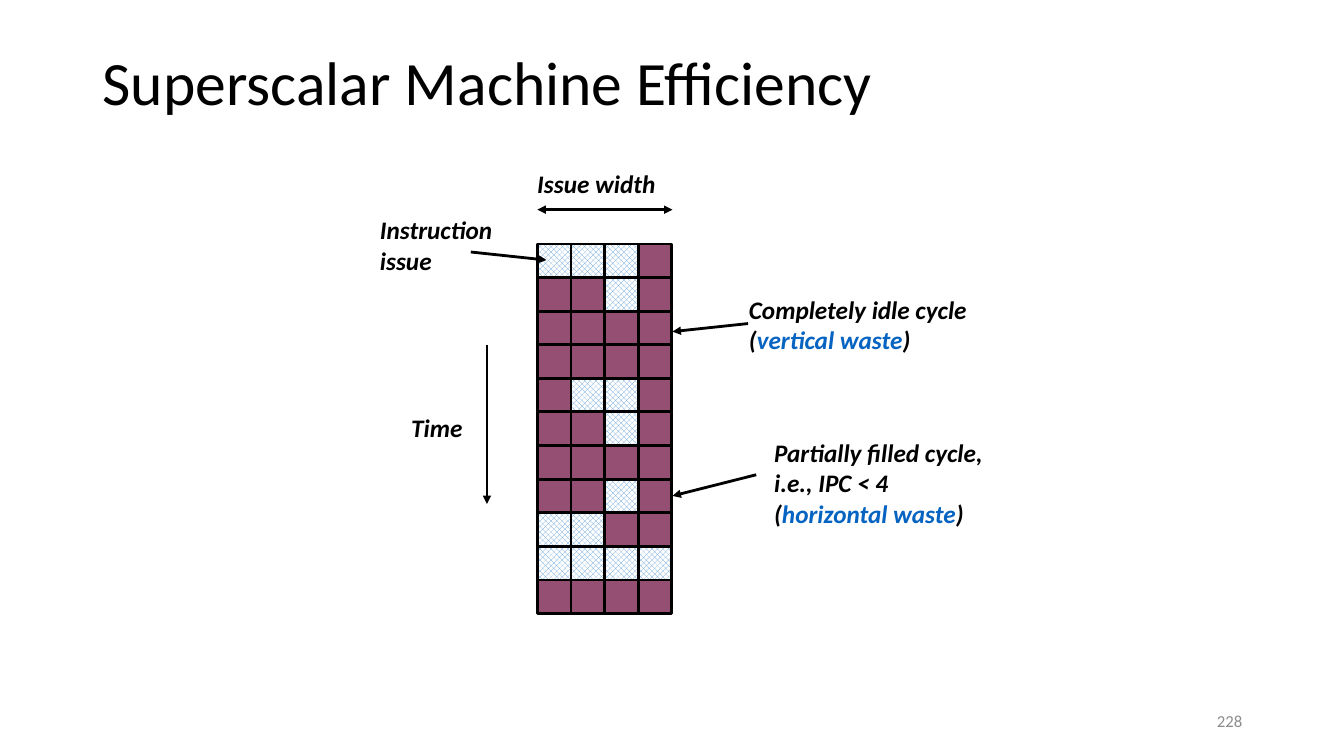
import lxml.etree
import pptx
import pptx.util
import pptx.dml.color
import pptx.enum.dml
import pptx.enum.shapes
import pptx.enum.text
import pptx.oxml.ns

Inches = pptx.util.Inches
Pt = pptx.util.Pt
RGBColor = pptx.dml.color.RGBColor
Align = pptx.enum.text.PP_ALIGN
Anchor = pptx.enum.text.MSO_ANCHOR
qn = pptx.oxml.ns.qn

BLACK = RGBColor(0x00, 0x00, 0x00)
WHITE = RGBColor(0xFF, 0xFF, 0xFF)
GRAY = RGBColor(0x8C, 0x8C, 0x8C)
BLUE = RGBColor(0x05, 0x63, 0xC1)
SKY = RGBColor(0x5B, 0x9B, 0xD5)
PLUM = RGBColor(0x95, 0x4F, 0x72)

CELL = 1 / 3
LEFT, TOP = 5.33, 2.42
CYCLES = ["XXX.", "..X.", "....", "....", ".XX.", "..X.",
          "....", "..X.", "XX..", "XXXX", "...."]


def write(slide, box, *lines, size=18, color=BLACK, strong=True, wrap=True,
          align=Align.LEFT, anchor=Anchor.TOP, space=1.0):
    """Add a text box; each line is a list of runs, a run in a tuple has its own colour."""
    frame = slide.shapes.add_textbox(*map(Inches, box)).text_frame
    frame.word_wrap = wrap
    frame.vertical_anchor = anchor
    for i, line in enumerate(lines):
        para = frame.paragraphs[0] if i == 0 else frame.add_paragraph()
        para.alignment = align
        para.line_spacing = space
        for part in line:
            text, tint = part if isinstance(part, tuple) else (part, color)
            run = para.add_run()
            run.text = text
            font = run.font
            font.name, font.size = "Calibri", Pt(size)
            font.bold = font.italic = strong
            font.color.rgb = tint


def arrow(slide, start, end, both=False):
    """Draw a black arrow that points at its end, or at both ends."""
    link = slide.shapes.add_connector(
        pptx.enum.shapes.MSO_CONNECTOR.STRAIGHT, *map(Inches, start + end))
    link.line.color.rgb = BLACK
    link.line.width = Pt(2)
    props = link._element.spPr
    for tag in ["a:headEnd", "a:tailEnd"] if both else ["a:tailEnd"]:
        lxml.etree.SubElement(props.find(qn("a:ln")), qn(tag), type="triangle")
    lxml.etree.SubElement(props, qn("a:effectLst"))


def slot(slide, row, col, used):
    """Draw one issue slot, patterned when used and solid when wasted."""
    shape = slide.shapes.add_shape(
        pptx.enum.shapes.MSO_SHAPE.RECTANGLE, Inches(LEFT + col * CELL),
        Inches(TOP + row * CELL), Inches(CELL), Inches(CELL))
    shape.shadow.inherit = False
    shape.line.color.rgb = BLACK
    shape.line.width = Pt(2)
    if used:
        shape.fill.patterned()
        shape.fill.pattern = pptx.enum.dml.MSO_PATTERN.SOLID_DIAMOND
        shape.fill.fore_color.rgb = SKY
        shape.fill.back_color.rgb = WHITE
    else:
        shape.fill.solid()
        shape.fill.fore_color.rgb = PLUM


def main():
    """Build the slide on superscalar efficiency."""
    deck = pptx.Presentation()
    deck.slide_width, deck.slide_height = Inches(13.33), Inches(7.5)
    slide = deck.slides.add_slide(deck.slide_layouts[6])

    write(slide, (0.92, 0.4, 11.5, 0.89), ["Superscalar Machine Efficiency"],
          size=44, strong=False, anchor=Anchor.MIDDLE, space=0.9)
    write(slide, (9.42, 6.95, 3, 0.4), ["228"], size=12, color=GRAY,
          strong=False, align=Align.RIGHT, anchor=Anchor.MIDDLE)

    for row, cycle in enumerate(CYCLES):
        for col, mark in enumerate(cycle):
            slot(slide, row, col, mark == "X")

    write(slide, (5.23, 1.62, 1.39, 0.4), ["Issue width"], wrap=False)
    arrow(slide, (LEFT, 2.08), (6.67, 2.08), both=True)
    write(slide, (3.98, 4.04, 0.72, 0.4), ["Time"], wrap=False)
    arrow(slide, (4.83, 3.42), (4.83, 5))
    write(slide, (3.67, 2.08, 1.52, 0.7), ["Instruction issue"])
    arrow(slide, (4.67, 2.5), (5.42, 2.58))
    write(slide, (7.33, 2.87, 3, 0.7),
          ["Completely idle cycle (", ("vertical waste", BLUE), ")"])
    arrow(slide, (7.42, 3.21), (6.67, 3.29))
    write(slide, (7.58, 4.29, 2.67, 1),
          ["Partially filled cycle, i.e., IPC < 4"],
          ["(", ("horizontal waste", BLUE), ")"])
    arrow(slide, (7.5, 4.71), (6.67, 4.92))

    deck.save("out.pptx")


if __name__ == "__main__":
    main()
